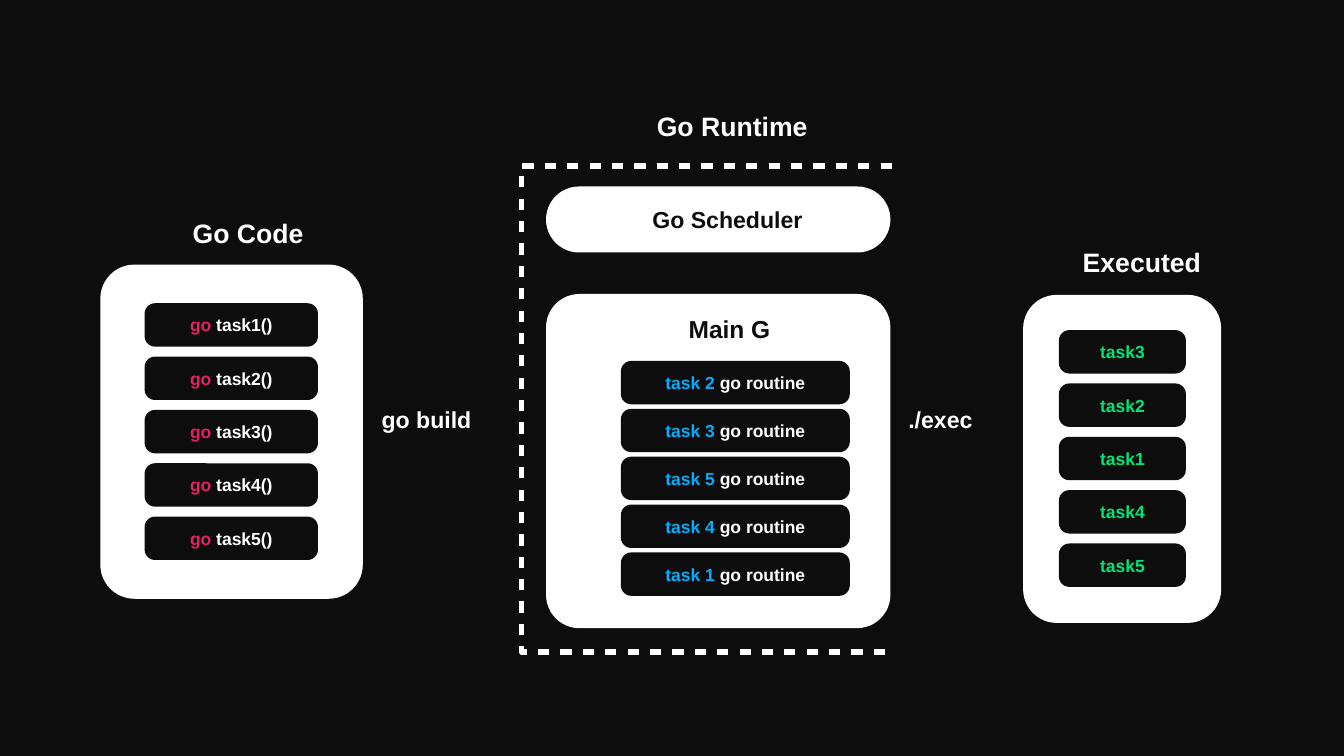
import pptx
import pptx.dml.color
import pptx.enum.shapes
import pptx.enum.text
import pptx.oxml
import pptx.oxml.ns
import pptx.util
from dataclasses import dataclass

Pt = pptx.util.Pt
ALIGN = pptx.enum.text.PP_ALIGN


@dataclass(frozen=True)
class Theme:
    font: str = "Arial"
    dark: str = "0D0D0D"
    light: str = "FFFFFF"
    keyword: str = "E91E63"
    routine: str = "00B0FF"
    done: str = "00E676"
    title: int = 38
    heading: int = 35
    label: int = 33
    task: int = 25
    inset: float = 4.5
    pill_height: float = 62
    frame_line: int = 8


class Diagram:
    def __init__(self, slide, theme):
        self.s = slide
        self.t = theme
        fill = slide.background.fill
        fill.solid()
        fill.fore_color.rgb = self.rgb(theme.dark)

    @staticmethod
    def rgb(color):
        return pptx.dml.color.RGBColor.from_string(color)

    def set_text(self, sp, runs, size, align):
        tf = sp.text_frame
        tf.word_wrap = True
        tf.vertical_anchor = pptx.enum.text.MSO_ANCHOR.MIDDLE
        tf.margin_left = tf.margin_right = Pt(self.t.inset)
        tf.margin_top = tf.margin_bottom = Pt(self.t.inset)
        p = tf.paragraphs[0]
        p.alignment = align
        p.font.name = self.t.font
        p.font.size = Pt(size)
        p.font.bold = True
        for text, color in runs:
            r = p.add_run()
            r.text = text
            r.font.color.rgb = self.rgb(color)

    def text(self, x, y, w, h, text, size, color):
        sp = self.s.shapes.add_textbox(Pt(x), Pt(y), Pt(w), Pt(h))
        self.set_text(sp, [(text, color)], size, ALIGN.LEFT)

    def card(self, x, y, w, h, radius, color):
        kind = pptx.enum.shapes.MSO_SHAPE.ROUNDED_RECTANGLE
        sp = self.s.shapes.add_shape(kind, Pt(x), Pt(y), Pt(w), Pt(h))
        sp.adjustments[0] = radius
        sp.shadow.inherit = False
        sp.fill.solid()
        sp.fill.fore_color.rgb = self.rgb(color)
        sp.line.fill.background()
        return sp

    def pills(self, x, y, w, pitch, rows):
        for i, runs in enumerate(rows):
            sp = self.card(x, y + i * pitch, w, self.t.pill_height, 0.24, self.t.dark)
            self.set_text(sp, runs, self.t.task, ALIGN.CENTER)

    def dashed_path(self, points):
        start, *rest = [(Pt(x), Pt(y)) for x, y in points]
        builder = self.s.shapes.build_freeform(*start)
        builder.add_line_segments(rest, close=False)
        sp = builder.convert_to_shape()
        sp.shadow.inherit = False
        sp.fill.background()
        sp.line.color.rgb = self.rgb(self.t.light)
        sp.line.width = Pt(self.t.frame_line)
        # Dashes and gaps are both two line widths long
        ns = pptx.oxml.ns.nsdecls("a")
        dash = f'<a:custDash {ns}><a:ds d="200000" sp="200000"/></a:custDash>'
        ln = sp.element.spPr.find(pptx.oxml.ns.qn("a:ln"))
        ln.find(pptx.oxml.ns.qn("a:solidFill")).addnext(pptx.oxml.parse_xml(dash))


def main():
    prs = pptx.Presentation()
    prs.slide_width, prs.slide_height = Pt(1920), Pt(1080)
    t = Theme()
    d = Diagram(prs.slides.add_slide(prs.slide_layouts[6]), t)

    # Runtime: scheduler above the main goroutine
    d.card(780, 266.4, 492, 94.3, 0.5, t.light)
    d.text(927.4, 287.3, 248, 53.3, "Go Scheduler", t.label, t.dark)
    d.card(780, 420, 492, 477.4, 0.1, t.light)
    d.text(979.2, 442, 135.4, 56.2, "Main G", t.heading, t.dark)
    d.pills(887, 515.6, 327, 68.4,
            [[(f"task {n}", t.routine), (" go routine", t.light)] for n in (2, 3, 5, 4, 1)])

    # Source code
    d.card(143.3, 378, 375, 477.4, 0.13, t.light)
    d.text(270.7, 302.4, 169.2, 59.8, "Go Code", t.title, t.light)
    d.pills(206.6, 433.2, 247.7, 76.2,
            [[("go", t.keyword), (f" task{n}()", t.light)] for n in range(1, 6)])

    # Runtime frame, open on the right
    d.dashed_path([(1264.3, 931.7), (745.2, 931.7), (745.2, 236.9), (1286.6, 236.9)])
    d.text(933.8, 149.8, 237.6, 59.8, "Go Runtime", t.title, t.light)

    # Steps between the stages
    d.text(540.7, 572.4, 167.8, 53.3, "go build", t.label, t.light)
    d.text(1293.1, 572.4, 128.2, 53.3, "./exec", t.label, t.light)

    # Execution order
    d.card(1461.6, 421.2, 283, 468.7, 0.17, t.light)
    d.text(1542.2, 344.2, 192.2, 59.8, "Executed", t.title, t.light)
    d.pills(1512.7, 471.6, 181.4, 76.2,
            [[(f"task{n}", t.done)] for n in (3, 2, 1, 4, 5)])

    prs.save("out.pptx")


if __name__ == "__main__":
    main()
